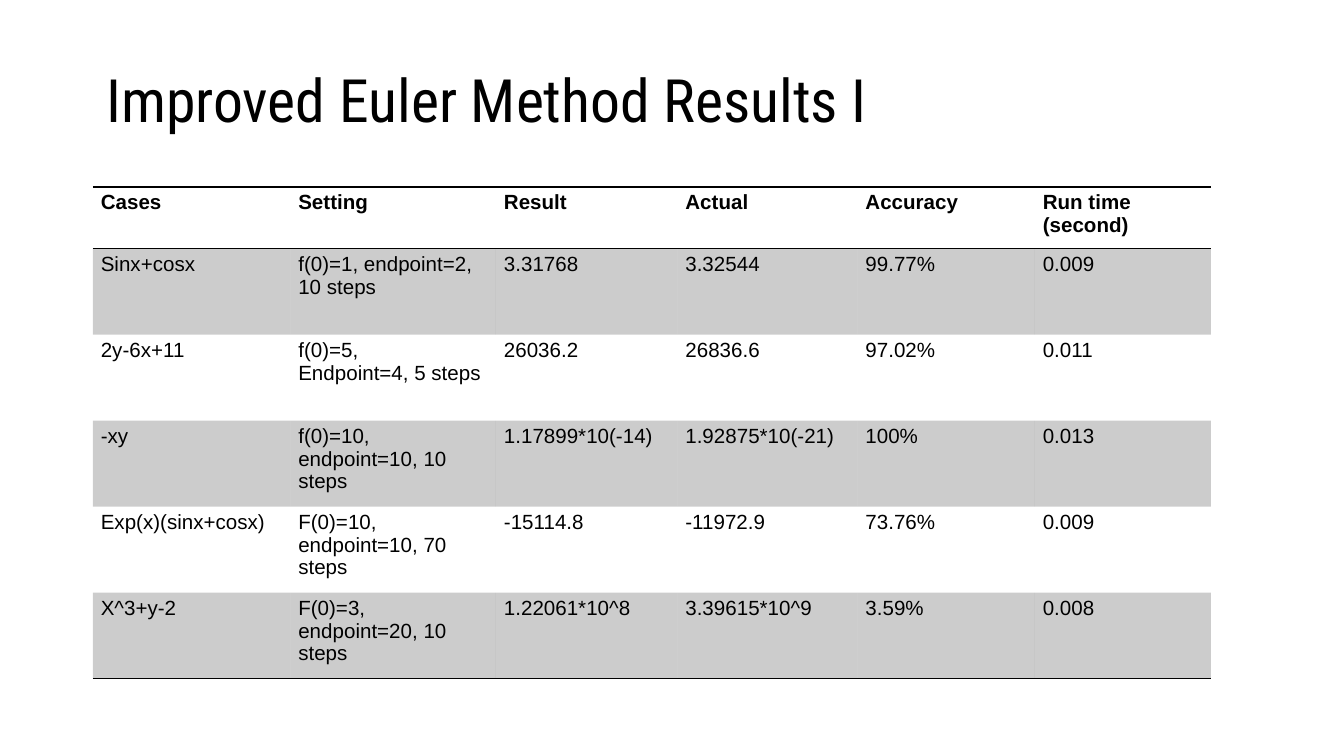
"""Build the slide with the results table of the improved Euler method."""
from lxml import etree
from pptx import Presentation
from pptx import util as u
from pptx.dml.color import RGBColor
from pptx.enum import text
from pptx.oxml import ns

BLACK = RGBColor(0x00, 0x00, 0x00)
NO_STYLE = "{2D5ABB26-0587-4C30-8999-92F81FD0307C}"
COLS = [1.47, 1.53, 1.35, 1.34, 1.32, 1.31]
ROWS = [0.46] + [0.64] * 5
RESULTS = [
    ["Cases", "Setting", "Result", "Actual", "Accuracy", "Run time (second)"],
    ["Sinx+cosx", "f(0)=1, endpoint=2, 10 steps", "3.31768", "3.32544", "99.77%", "0.009"],
    ["2y-6x+11", "f(0)=5,\nEndpoint=4, 5 steps", "26036.2", "26836.6", "97.02%", "0.011"],
    ["-xy", "f(0)=10, endpoint=10, 10 steps", "1.17899*10(-14)", "1.92875*10(-21)", "100%", "0.013"],
    ["Exp(x)(sinx+cosx)", "F(0)=10, endpoint=10, 70 steps", "-15114.8", "-11972.9", "73.76%", "0.009"],
    ["X^3+y-2", "F(0)=3, endpoint=20, 10 steps", "1.22061*10^8", "3.39615*10^9", "3.59%", "0.008"],
]


def write(tf, words, size=11, font="Arial", color=BLACK, bold=False, spacing=None):
    tf.word_wrap = True
    for i, line in enumerate(words.split("\n")):
        p = tf.add_paragraph() if i else tf.paragraphs[0]
        p.alignment = text.PP_ALIGN.LEFT
        if spacing:
            p.line_spacing = spacing
        r = p.add_run()
        r.text = line
        r.font.size = u.Pt(size)
        r.font.name = font
        r.font.bold = bold
        r.font.color.rgb = color


class Deck:
    def __init__(self, width, ratio):
        self.prs = Presentation()
        self.prs.slide_width = u.Inches(width)
        self.prs.slide_height = u.Inches(width * ratio)
        self.s = None

    def add_slide(self):
        self.s = self.prs.slides.add_slide(self.prs.slide_layouts[5])

    def title(self, words, x, y, w, h):
        sp = self.s.shapes.title
        sp.left, sp.top, sp.width, sp.height = map(u.Inches, (x, y, w, h))
        tf = sp.text_frame
        tf.vertical_anchor = text.MSO_ANCHOR.MIDDLE
        write(tf, words, size=32, font="Roboto Condensed", spacing=0.9)

    def border(self, cell, side, color=BLACK, width=1):
        pr = cell._tc.get_or_add_tcPr()
        ln = etree.Element(ns.qn(f"a:ln{side}"), w=str(u.Pt(width)))
        fill = etree.SubElement(ln, ns.qn("a:solidFill"))
        etree.SubElement(fill, ns.qn("a:srgbClr"), val=str(color))
        pr.insert(len(pr.findall(ns.qn("a:lnT"))), ln)

    def shade(self, cell, color=BLACK, opacity=20):
        cell.fill.solid()
        cell.fill.fore_color.rgb = color
        clr = cell._tc.tcPr.find(".//" + ns.qn("a:srgbClr"))
        etree.SubElement(clr, ns.qn("a:alpha"), val=str(opacity * 1000))

    def table(self, data, x, y, cols, rows):
        frame = self.s.shapes.add_table(
            len(rows), len(cols), u.Inches(x), u.Inches(y),
            u.Inches(sum(cols)), u.Inches(sum(rows)))
        tbl = frame.table
        tbl.horz_banding = False
        tbl._tbl.tblPr.find(ns.qn("a:tableStyleId")).text = NO_STYLE
        for column, width in zip(tbl.columns, cols):
            column.width = u.Inches(width)
        for row, height in zip(tbl.rows, rows):
            row.height = u.Inches(height)
        for i, line in enumerate(data):
            for j, words in enumerate(line):
                cell = tbl.cell(i, j)
                cell.margin_left = cell.margin_right = u.Inches(0.06)
                cell.margin_top = cell.margin_bottom = u.Inches(0.03)
                write(cell.text_frame, words, bold=i == 0)
                if i % 2:
                    self.shade(cell)
                else:
                    cell.fill.background()
                if i == 0:
                    self.border(cell, "T")
                if i in (0, len(data) - 1):
                    self.border(cell, "B")


def main():
    deck = Deck(10, 9 / 16)
    deck.add_slide()
    deck.title("Improved Euler Method Results I", 0.69, 0.15, 8.62, 1.24)
    deck.table(RESULTS, 0.69, 1.39, COLS, ROWS)
    deck.prs.save("out.pptx")


if __name__ == "__main__":
    main()
